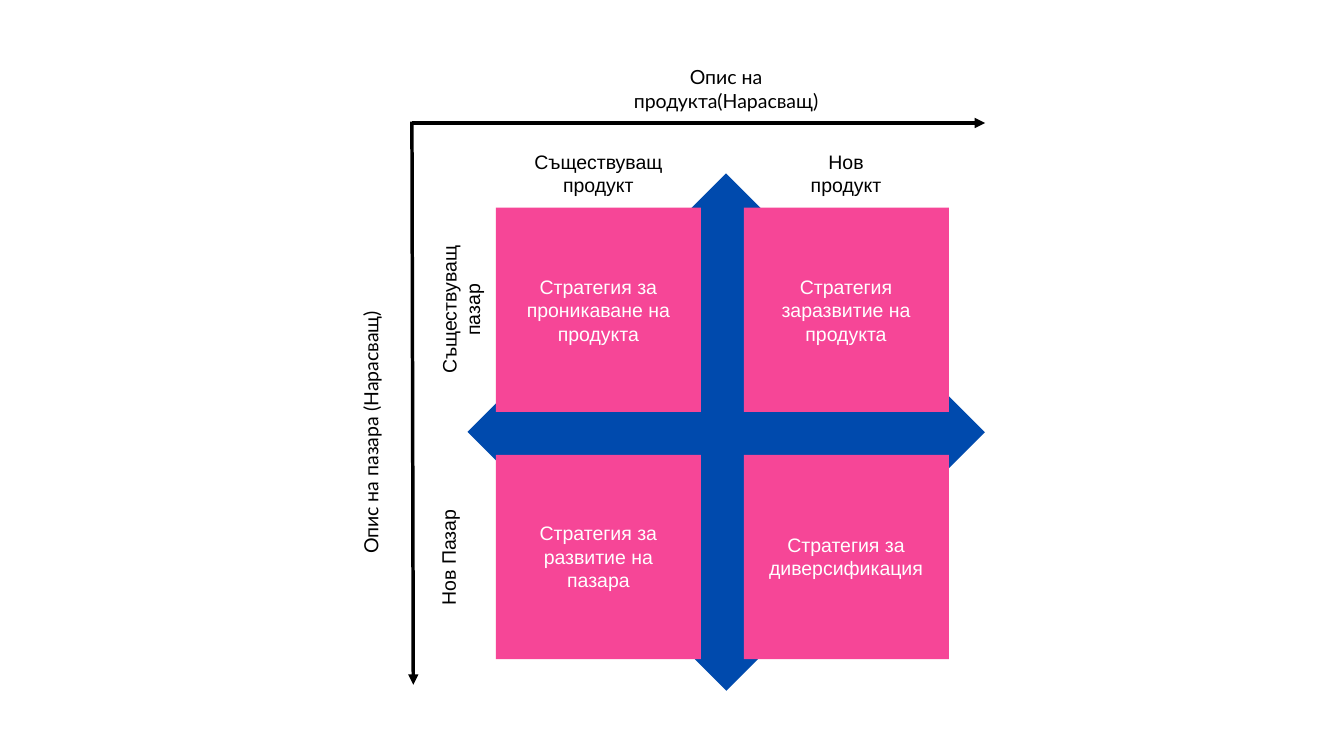
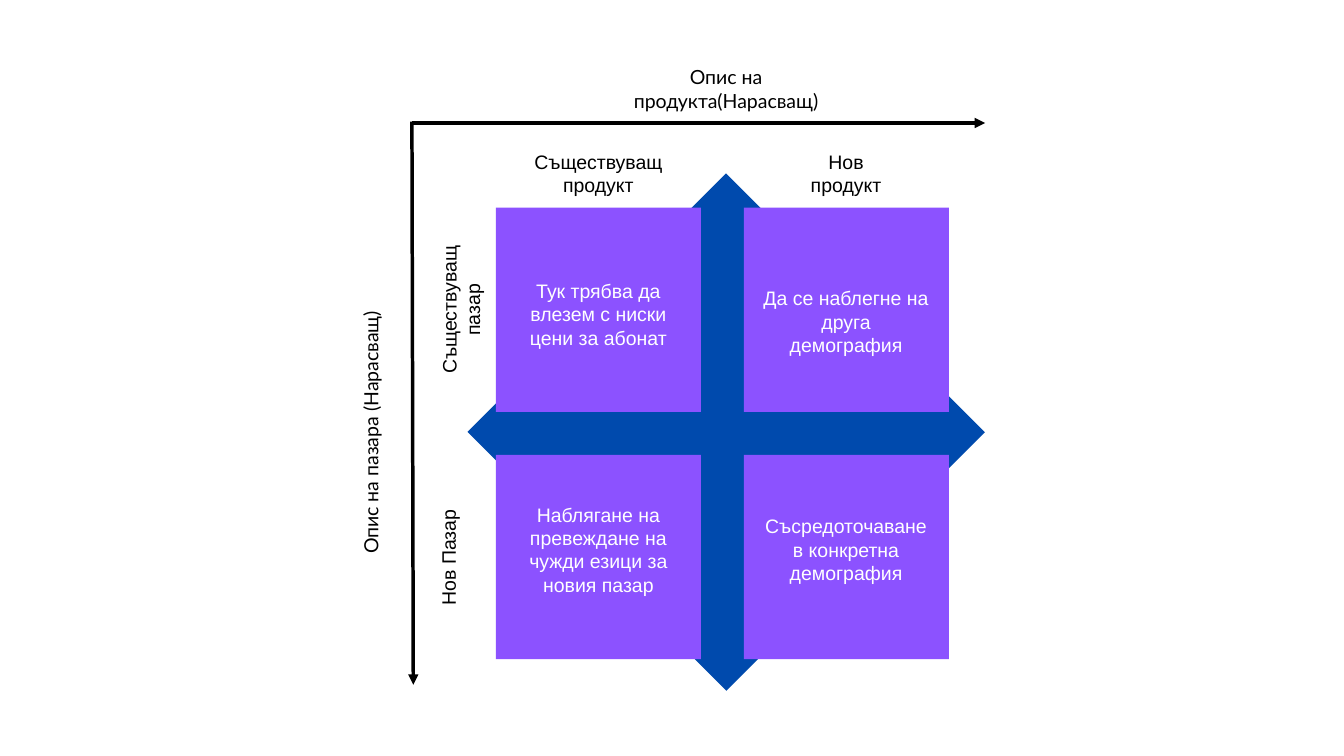
from itertools import product
from lxml.etree import SubElement
from pptx import Presentation
from pptx.dml.color import RGBColor
from pptx.enum.shapes import MSO_CONNECTOR, MSO_SHAPE
from pptx.enum.text import MSO_AUTO_SIZE, PP_ALIGN
from pptx.oxml.ns import qn
from pptx.util import Emu, Pt

BLUE = RGBColor(0x00, 0x4A, 0xAD)
PINK = RGBColor(0xF6, 0x46, 0x97)
VIOLET = RGBColor(0x8C, 0x52, 0xFF)
BLACK = RGBColor(0, 0, 0)
WHITE = RGBColor(255, 255, 255)

PX = 9144
WIDE, HIGH = 2000, 1125
DIAMOND = (808, 371, 545, 544)
CELL_W, CELL_H = 305, 304
LEFT, TOP = 738, 309
STEP_X, STEP_Y = 369, 368
LINE = 34
TEXT_COLS = [(777, 227), (1135, 248)]

SLIDES = [
    (PINK, [
        ("Стратегия за проникаване на продукта", 409, 3),
        ("Стратегия заразвитие на продукта", 409, 3),
        ("Стратегия за развитие на пазара", 776, 3),
        ("Стратегия за диверсификация", 793, 2),
    ]),
    (VIOLET, [
        ("Тук трябва да влезем с ниски цени за абонат", 415, 3),
        ("Да се наблегне на друга демография", 426, 2),
        ("Наблягане на превеждане на чужди езици за новия пазар", 748, 4),
        ("Съсредоточаване в конкретна демография", 765, 3),
    ]),
]

LABELS = [
    ("Съществуващ продукт", (777, 223, 227, 69), 0, "Arial"),
    ("Нов\nпродукт", (1167, 223, 184, 69), 0, "Arial"),
    ("Съществуващ пазар", (571, 427, 227, 68), 270, "Arial"),
    ("Нов Пазар", (575, 812, 184, 35), 270, "Arial"),
    ("Опис на продукта(Нарасващ)", (921, 97, 319, 67), 0, "Lato"),
    ("Опис на пазара (Нарасващ)", (383, 610, 369, 67), 270, "Lato"),
]

AXES = [(613, 183, 1466, 183), (613, 181, 615, 1019)]


def scale(nums):
    return [Emu(n * PX) for n in nums]


def add_text(slide, text, *, box, color=BLACK, font="Arial", turn=0):
    shape = slide.shapes.add_textbox(*scale(box))
    shape.rotation = turn
    frame = shape.text_frame
    frame.margin_left = frame.margin_right = 0
    frame.margin_top = frame.margin_bottom = 0
    frame.word_wrap = True
    frame.auto_size = MSO_AUTO_SIZE.SHAPE_TO_FIT_TEXT
    frame.text = text
    for para in frame.paragraphs:
        para.alignment = PP_ALIGN.CENTER
        para.line_spacing = Pt(25.1)
        for run in para.runs:
            run.font.size = Pt(20.9)
            run.font.name = font
            run.font.color.rgb = color


def add_block(slide, box, color, turn=0):
    shape = slide.shapes.add_shape(MSO_SHAPE.RECTANGLE, *scale(box))
    shape.rotation = turn
    shape.shadow.inherit = False
    shape.fill.solid()
    shape.fill.fore_color.rgb = color
    shape.line.fill.background()


def add_arrow(slide, ends):
    axis = slide.shapes.add_connector(MSO_CONNECTOR.STRAIGHT, *scale(ends))
    axis.line.color.rgb = BLACK
    axis.line.width = Pt(3.75)
    SubElement(axis.line._get_or_add_ln(), qn("a:tailEnd"), type="triangle")
    SubElement(axis._element.spPr, qn("a:effectLst"))


def add_matrix(deck, color, cells):
    slide = deck.slides.add_slide(deck.slide_layouts[6])
    add_block(slide, DIAMOND, BLUE, turn=45)
    for (row, col), (text, top, lines) in zip(product(range(2), repeat=2), cells):
        x, y = LEFT + col * STEP_X, TOP + row * STEP_Y
        add_block(slide, (x, y, CELL_W, CELL_H), color)
        left, width = TEXT_COLS[col]
        add_text(slide, text, box=(left, top, width, lines * LINE), color=WHITE)
    for text, box, turn, font in LABELS:
        add_text(slide, text, box=box, turn=turn, font=font)
    for ends in AXES:
        add_arrow(slide, ends)


def main():
    deck = Presentation()
    deck.slide_width, deck.slide_height = scale((WIDE, HIGH))
    for color, cells in SLIDES:
        add_matrix(deck, color, cells)
    deck.save("out.pptx")


if __name__ == "__main__":
    main()
